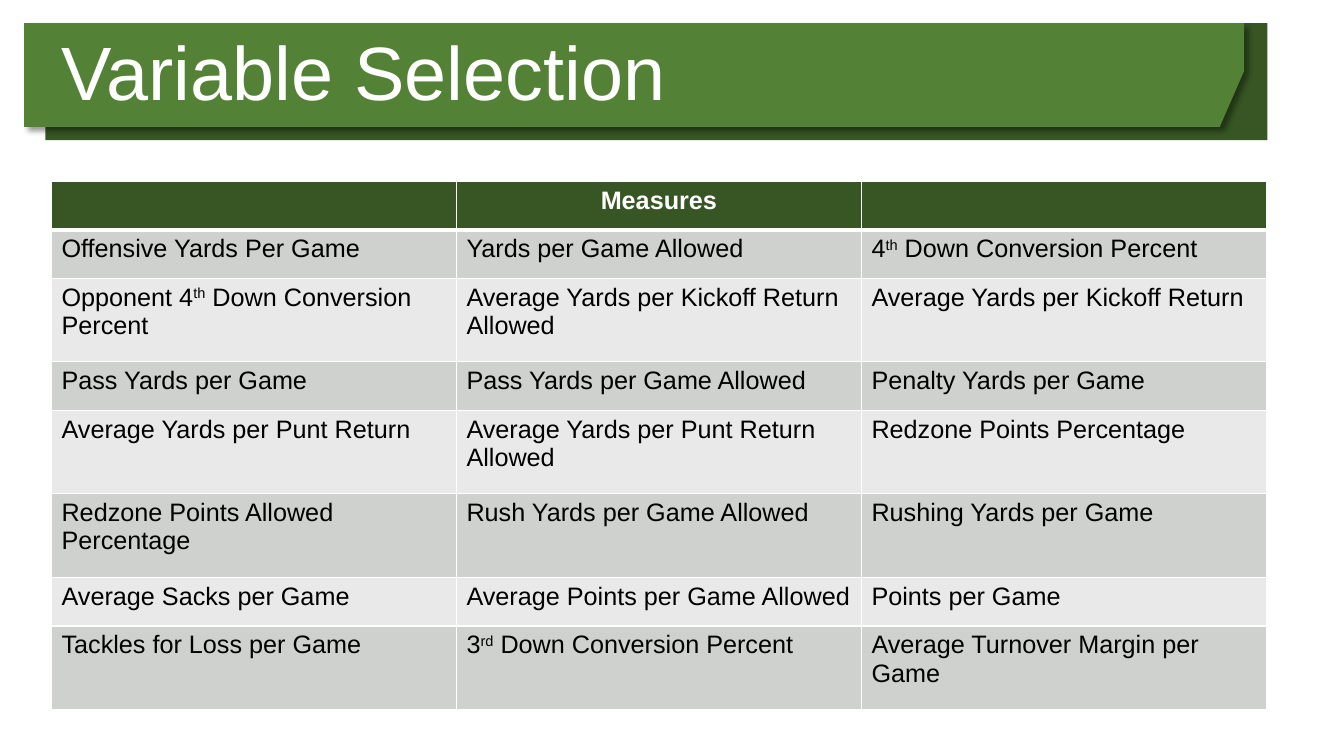
from lxml.etree import SubElement
from pptx import Presentation
from pptx.dml.color import RGBColor
from pptx.enum.shapes import MSO_SHAPE
from pptx.enum.text import MSO_ANCHOR, MSO_AUTO_SIZE, PP_ALIGN
from pptx.oxml import parse_xml
from pptx.oxml.ns import nsdecls, qn
from pptx.util import Inches, Pt

THEME = {
    "font": "Arial",
    "title_size": Pt(54),
    "table_size": Pt(18),
    "dark_green": RGBColor.from_string("375623"),
    "green": RGBColor.from_string("538135"),
    "bands": [RGBColor.from_string("CED1CD"), RGBColor.from_string("E8E9E8")],
    "white": RGBColor.from_string("FFFFFF"),
    "black": RGBColor.from_string("000000"),
}

# Text between carets is superscript.
MEASURES = [
    ["", "Measures", ""],
    ["Offensive Yards Per Game", "Yards per Game Allowed", "4^th^ Down Conversion Percent"],
    ["Opponent 4^th^ Down Conversion Percent", "Average Yards per Kickoff Return Allowed",
     "Average Yards per Kickoff Return"],
    ["Pass Yards per Game", "Pass Yards per Game Allowed", "Penalty Yards per Game"],
    ["Average Yards per Punt Return", "Average Yards per Punt Return Allowed",
     "Redzone Points Percentage"],
    ["Redzone Points Allowed Percentage", "Rush Yards per Game Allowed", "Rushing Yards per Game"],
    ["Average Sacks per Game", "Average Points per Game Allowed", "Points per Game"],
    ["Tackles for Loss per Game", "3^rd^ Down Conversion Percent",
     "Average Turnover Margin per Game"],
]
TWO_LINE_ROWS = {2, 4, 5, 7}
ROW_SHARE, TWO_LINE_SHARE = 6.4, 11.07

presentation = Presentation()
presentation.slide_width = Inches(13.33)
presentation.slide_height = Inches(7.5)
slide = presentation.slides.add_slide(presentation.slide_layouts[5])


def box(left, top, width, height):
    """Turn percentages of the slide's size into lengths."""
    across = presentation.slide_width / 100
    down = presentation.slide_height / 100
    return int(left * across), int(top * down), int(width * across), int(height * down)


def add_border(cell, side, points):
    line = SubElement(cell._tc.get_or_add_tcPr(), qn(f"a:ln{side}"), w=str(Pt(points)))
    fill = SubElement(line, qn("a:solidFill"))
    SubElement(fill, qn("a:srgbClr"), val=str(THEME["white"]))


# Title banner
backing = slide.shapes.add_shape(MSO_SHAPE.RECTANGLE, *box(3.38, 3.07, 90.92, 15.47))
left, top, width, height = box(1.8, 3.07, 90.77, 13.73)
outline = [(1, 0), (1, 0.46), (0.99, 0.73), (0.98, 1), (0, 1)]
builder = slide.shapes.build_freeform(left, top)
builder.add_line_segments([(left + x * width, top + y * height) for x, y in outline])
banner = builder.convert_to_shape()
for shape, color in ((backing, "dark_green"), (banner, "green")):
    shape.shadow.inherit = False
    shape.fill.solid()
    shape.fill.fore_color.rgb = THEME[color]
    shape.line.fill.background()
banner.element.spPr.find(qn("a:effectLst")).append(parse_xml(
    f'<a:outerShdw {nsdecls("a")} blurRad="{Pt(4)}" dist="{Pt(3)}" dir="2700000">'
    '<a:srgbClr val="000000"><a:alpha val="40000"/></a:srgbClr></a:outerShdw>'))

# Title, in front of the banner
title = slide.shapes.title
title.left, title.top, title.width, title.height = box(3.83, 4.8, 82.37, 10.53)
banner.element.addnext(title.element)
title.text = "Variable Selection"
frame_format = {"vertical_anchor": MSO_ANCHOR.MIDDLE, "word_wrap": True,
                "auto_size": MSO_AUTO_SIZE.NONE}
for name, value in frame_format.items():
    setattr(title.text_frame, name, value)
paragraph = title.text_frame.paragraphs[0]
paragraph_format = {"alignment": PP_ALIGN.LEFT, "line_spacing": 0.9, "space_before": Pt(10)}
for name, value in paragraph_format.items():
    setattr(paragraph, name, value)
font = paragraph.runs[0].font
font.name, font.size = THEME["font"], THEME["title_size"]
font.color.rgb = THEME["white"]

# Table of measures
row_shares = [TWO_LINE_SHARE if row in TWO_LINE_ROWS else ROW_SHARE
              for row in range(len(MEASURES))]
table = slide.shapes.add_table(len(MEASURES), len(MEASURES[0]),
                               *box(3.83, 24, 90.4, sum(row_shares))).table
for row, texts in enumerate(MEASURES):
    table.rows[row].height = box(0, 0, 0, row_shares[row])[3]
    is_header = row == 0
    for column, text in enumerate(texts):
        cell = table.cell(row, column)
        for side in "LRTB":
            thick = (is_header and side == "B") or (row == 1 and side == "T")
            add_border(cell, side, 3 if thick else 1)
        cell.fill.solid()
        cell.fill.fore_color.rgb = THEME["dark_green"] if is_header else THEME["bands"][(row - 1) % 2]
        paragraph = cell.text_frame.paragraphs[0]
        paragraph.alignment = PP_ALIGN.CENTER if is_header else PP_ALIGN.LEFT
        for part, words in enumerate(text.split("^")):
            if not words:
                continue
            run = paragraph.add_run()
            run.text = words
            run_format = {"name": THEME["font"], "size": THEME["table_size"], "bold": is_header}
            for name, value in run_format.items():
                setattr(run.font, name, value)
            run.font.color.rgb = THEME["white"] if is_header else THEME["black"]
            if part % 2:
                run._r.get_or_add_rPr().set("baseline", "30000")

presentation.save("out.pptx")
